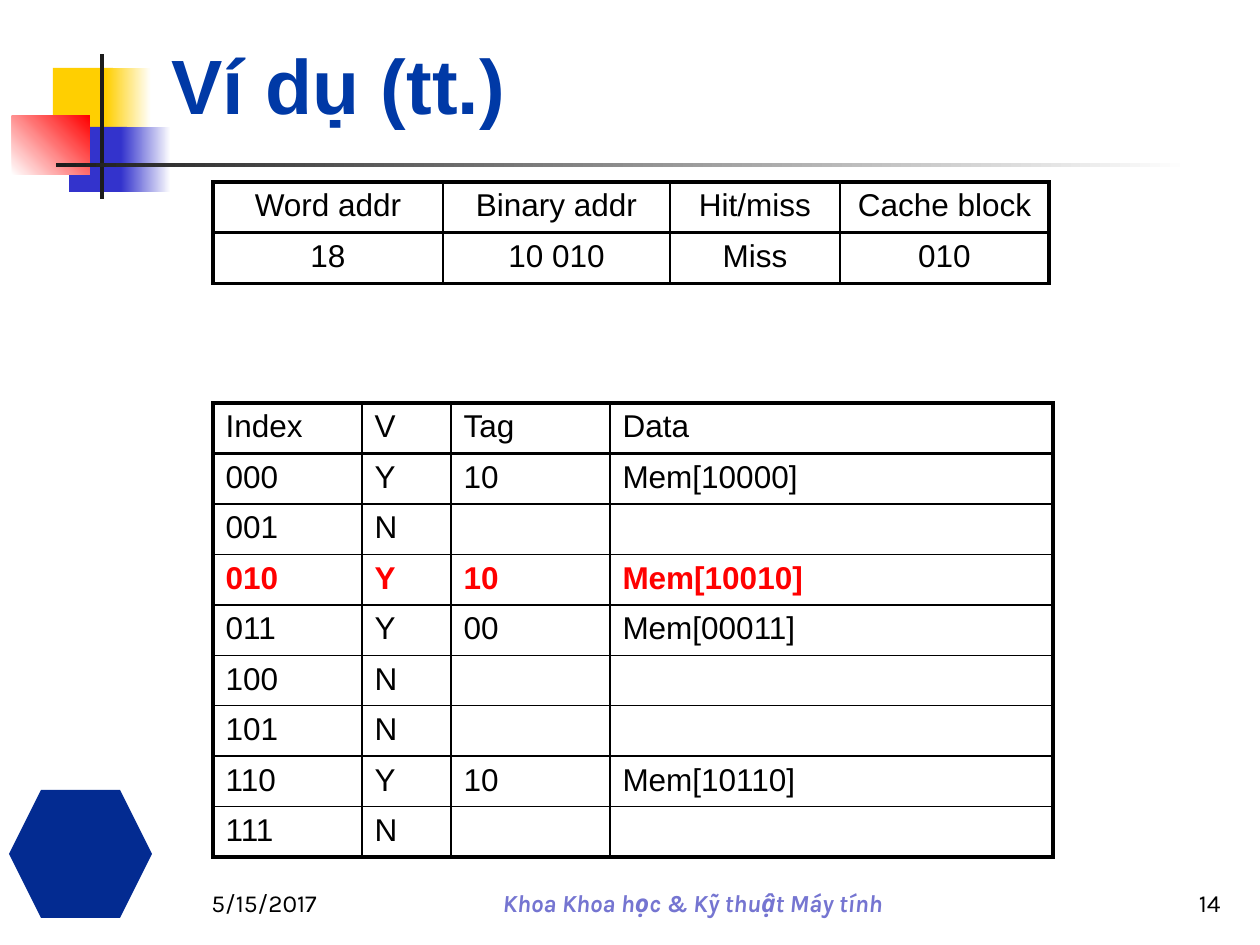
from pptx import Presentation
from pptx.dml.color import RGBColor
from pptx.enum.shapes import MSO_SHAPE
from pptx.enum.text import MSO_ANCHOR, MSO_AUTO_SIZE, PP_ALIGN
from pptx.oxml import parse_xml
from pptx.oxml.ns import nsdecls
from pptx.util import Pt

RECT, HEX = MSO_SHAPE.RECTANGLE, MSO_SHAPE.HEXAGON
BOTTOM, NO_FIT = MSO_ANCHOR.BOTTOM, MSO_AUTO_SIZE.NONE
LEFT, MID, RIGHT = PP_ALIGN.LEFT, PP_ALIGN.CENTER, PP_ALIGN.RIGHT

BLACK = RGBColor(0, 0, 0)
WHITE = RGBColor(255, 255, 255)
RED = RGBColor(255, 0, 0)
GOLD = RGBColor(0xFF, 0xCF, 0x01)
BLUE = RGBColor(0x33, 0x33, 0xCC)
DARK = RGBColor(0x1C, 0x1C, 0x1C)
NAVY = RGBColor(0x03, 0x2B, 0x91)
ROYAL = RGBColor(0x00, 0x39, 0xA6)
LILAC = RGBColor(0x75, 0x75, 0xD1)

SCALE = 914400 / 126
ROW = 48
THICK, HEAD, THIN = 2.25, 1.5, 1

DECOR = [
    ((53, 68, 60, 66), GOLD, None, 0),
    ((106, 68, 45, 66), GOLD, WHITE, 0),
    ((69, 127, 58, 65), BLUE, None, 0),
    ((121, 127, 50, 65), BLUE, WHITE, 0),
    ((12, 116, 78, 59), WHITE, RED, 45),
    ((100, 54, 4, 145), DARK, None, 0),
    ((56, 163, 1134, 4), DARK, WHITE, 0),
]
CACHE = [
    ["Index", "V", "Tag", "Data"],
    ["000", "Y", "10", "Mem[10000]"],
    ["001", "N", "", ""],
    ["010", "Y", "10", "Mem[10010]"],
    ["011", "Y", "00", "Mem[00011]"],
    ["100", "N", "", ""],
    ["101", "N", "", ""],
    ["110", "Y", "10", "Mem[10110]"],
    ["111", "N", "", ""],
]
ACCESS = [
    ["Word addr", "Binary addr", "Hit/miss", "Cache block"],
    ["18", "10 010", "Miss", "010"],
]
FOOT = [
    ((199, 861, 179, 63), "5/15/2017", LEFT, BLACK, False),
    ((388, 882, 609, 42), "Khoa Khoa học & Kỹ thuật Máy tính", MID, LILAC, True),
    ((1050, 861, 183, 63), "14", RIGHT, BLACK, False),
]


def px(num):
    return round(num * SCALE)


def style(para, size, color, face="Arial", bold=False, slant=False, align=LEFT):
    para.alignment = align
    font = para.font
    font.name, font.size = face, Pt(size)
    font.bold, font.italic = bold, slant
    font.color.rgb = color


def block(slide, kind, box, color, fade=None, angle=0):
    shape = slide.shapes.add_shape(kind, *map(px, box))
    shape.shadow.inherit = False
    shape.line.fill.background()
    fill = shape.fill
    if fade is None:
        fill.solid()
        fill.fore_color.rgb = color
    else:
        fill.gradient()
        fill.gradient_angle = angle
        for stop, tone in zip(fill.gradient_stops, (color, fade)):
            stop.color.rgb = tone


def title(slide, box, text):
    shape = slide.shapes.title
    shape.left, shape.top, shape.width, shape.height = map(px, box)
    frame = shape.text_frame
    frame.text = text
    frame.auto_size = NO_FIT
    frame.vertical_anchor = BOTTOM
    style(frame.paragraphs[0], 44, ROYAL, bold=True)


def label(slide, box, text, align, color, strong):
    frame = slide.shapes.add_textbox(*map(px, box)).text_frame
    frame.word_wrap = True
    frame.vertical_anchor = BOTTOM
    frame.text = text
    style(frame.paragraphs[0], 14, color, "Karla", strong, strong, align)


def border(cell, side, width):
    cell._tc.get_or_add_tcPr().append(parse_xml(
        f'<a:ln{side} {nsdecls("a")} w="{Pt(width)}"><a:solidFill>'
        f'<a:srgbClr val="{BLACK}"/></a:solidFill></a:ln{side}>'))


def edge(pos, count):
    return THICK if pos in (0, count) else THIN


def rule(pos, count):
    return HEAD if pos == 1 else edge(pos, count)


def grid(slide, left, top, cols, rows, data, align, hot=None):
    high, wide = len(rows), len(cols)
    box = (left, top, sum(cols), sum(rows))
    table = slide.shapes.add_table(high, wide, *map(px, box)).table
    table.first_row = table.horz_banding = False
    for col, width in zip(table.columns, cols):
        col.width = px(width)
    for row, height in zip(table.rows, rows):
        row.height = px(height)
    for r, line in enumerate(data):
        for c, text in enumerate(line):
            cell = table.cell(r, c)
            cell.text = text
            style(cell.text_frame.paragraphs[0], 18,
                  RED if r == hot else BLACK, bold=r == hot, align=align)
            border(cell, "L", edge(c, wide))
            border(cell, "R", edge(c + 1, wide))
            border(cell, "T", rule(r, high))
            border(cell, "B", rule(r + 1, high))
            cell.fill.background()


def main():
    deck = Presentation()
    deck.slide_width, deck.slide_height = px(1260), px(945)
    slide = deck.slides.add_slide(deck.slide_layouts[5])
    for box, color, fade, angle in DECOR:
        block(slide, RECT, box, color, fade, angle)
    block(slide, HEX, (9, 790, 143, 128), NAVY)
    title(slide, (159, 29, 1074, 107), "Ví dụ (tt.)")
    for item in FOOT:
        label(slide, *item)
    grid(slide, 213, 403, (149, 89, 159, 443), [ROW] * 9, CACHE, LEFT, hot=3)
    grid(slide, 213, 182, (230, 227, 170, 209), (ROW, 51), ACCESS, MID)
    deck.save("out.pptx")


if __name__ == "__main__":
    main()
